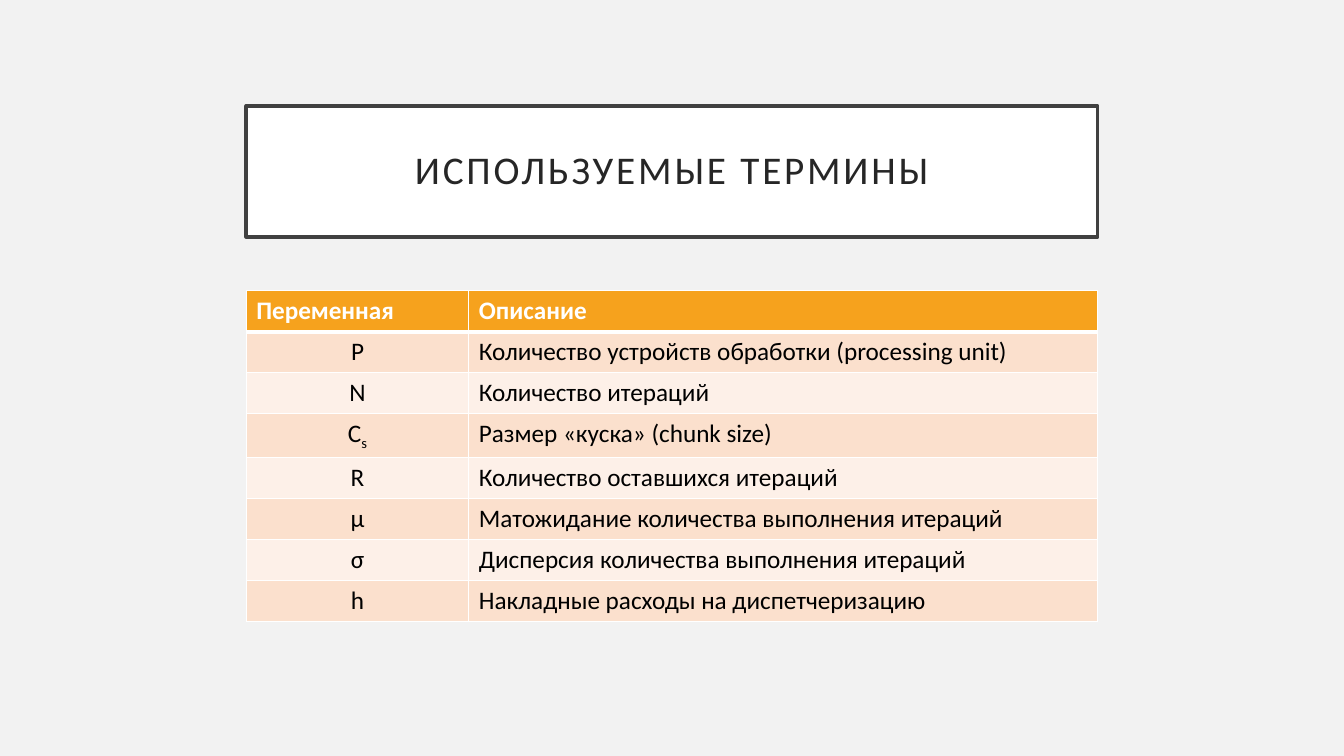
from dataclasses import dataclass

from lxml import etree
from pptx import Presentation
from pptx.dml.color import RGBColor
from pptx.enum.shapes import MSO_SHAPE
from pptx.enum.text import MSO_ANCHOR, PP_ALIGN
from pptx.oxml.ns import qn
from pptx.util import Cm, Pt

RECTANGLE = MSO_SHAPE.RECTANGLE
MIDDLE = MSO_ANCHOR.MIDDLE
LEFT, CENTER = PP_ALIGN.LEFT, PP_ALIGN.CENTER

# Content: each term is (symbol, subscript, description)
HEADING = "ИСПОЛЬЗУЕМЫЕ ТЕРМИНЫ"
COLUMN_NAMES = ("Переменная", "Описание")
TERMS = [
    ("P", "", "Количество устройств обработки (processing unit)"),
    ("N", "", "Количество итераций"),
    ("C", "s", "Размер «куска» (chunk size)"),
    ("R", "", "Количество оставшихся итераций"),
    ("μ", "", "Матожидание количества выполнения итераций"),
    ("σ", "", "Дисперсия количества выполнения итераций"),
    ("h", "", "Накладные расходы на диспетчеризацию"),
]


@dataclass(frozen=True)
class Theme:
    font: str = "Calibri"
    heading_size: int = 28
    table_size: int = 18
    background: str = "F2F2F2"
    white: str = "FFFFFF"
    frame: str = "404040"
    heading: str = "262626"
    body: str = "000000"
    header_fill: str = "F6A21D"
    bands: tuple = ("FBE0CD", "FDF0E8")
    frame_width: float = 2.5
    thin: int = 1
    thick: int = 3


THEME = Theme()

# Layout
SLIDE_WIDTH, SLIDE_HEIGHT = Cm(33.87), Cm(19.05)
COLUMN_WIDTHS = (Cm(5.61), Cm(15.85))
CONTENT_WIDTH = sum(COLUMN_WIDTHS)
CONTENT_LEFT = (SLIDE_WIDTH - CONTENT_WIDTH) // 2
HEADING_TOP, HEADING_HEIGHT = Cm(2.67), Cm(3.3)
HEADING_INSET = Cm(0.5)
TABLE_TOP, ROW_HEIGHT = Cm(7.33), Cm(1.03)


def rgb(code):
    return RGBColor.from_string(code)


def write(frame, text, *, subscript="", size=THEME.table_size, color=THEME.body,
          bold=False, align=LEFT, tracking=0, line_spacing=None):
    paragraph = frame.paragraphs[0]
    paragraph.alignment = align
    paragraph.line_spacing = line_spacing
    for part in filter(None, (text, subscript)):
        run = paragraph.add_run()
        run.text = part
        run.font.name = THEME.font
        run.font.size = Pt(size)
        run.font.bold = bold
        run.font.color.rgb = rgb(color)
        if tracking:
            run.font._element.set("spc", str(tracking * 100))
    if subscript:
        run.font._element.set("baseline", "-25000")


def paint_cell(cell, fill, top, bottom):
    cell.fill.solid()
    cell.fill.fore_color.rgb = rgb(fill)
    properties = cell._tc.get_or_add_tcPr()
    widths = {"a:lnL": THEME.thin, "a:lnR": THEME.thin, "a:lnT": top, "a:lnB": bottom}
    # Borders come before the fill, in this order
    for position, (side, width) in enumerate(widths.items()):
        border = etree.Element(qn(side), w=str(Pt(width)))
        solid = etree.SubElement(border, qn("a:solidFill"))
        etree.SubElement(solid, qn("a:srgbClr"), val=THEME.white)
        properties.insert(position, border)


def add_heading(slide):
    heading = slide.shapes.add_shape(RECTANGLE, CONTENT_LEFT, HEADING_TOP,
                                     CONTENT_WIDTH, HEADING_HEIGHT)
    heading.shadow.inherit = False
    heading.fill.solid()
    heading.fill.fore_color.rgb = rgb(THEME.white)
    heading.line.color.rgb = rgb(THEME.frame)
    heading.line.width = Pt(THEME.frame_width)
    frame = heading.text_frame
    frame.word_wrap = True
    frame.vertical_anchor = MIDDLE
    frame.margin_left = frame.margin_right = HEADING_INSET
    frame.margin_top = frame.margin_bottom = HEADING_INSET
    write(frame, HEADING, size=THEME.heading_size, color=THEME.heading,
          align=CENTER, tracking=2, line_spacing=0.9)


def add_terms(slide):
    row_count = len(TERMS) + 1
    terms = slide.shapes.add_table(row_count, len(COLUMN_NAMES), CONTENT_LEFT, TABLE_TOP,
                                   CONTENT_WIDTH, ROW_HEIGHT * row_count).table
    for column, width in zip(terms.columns, COLUMN_WIDTHS):
        column.width = width

    # Header row
    for cell, name in zip(terms.rows[0].cells, COLUMN_NAMES):
        paint_cell(cell, THEME.header_fill, THEME.thin, THEME.thick)
        write(cell.text_frame, name, color=THEME.white, bold=True)

    # Banded term rows
    for index, (symbol, subscript, description) in enumerate(TERMS):
        symbol_cell, description_cell = terms.rows[index + 1].cells
        top = THEME.thin if index else THEME.thick
        for cell in (symbol_cell, description_cell):
            paint_cell(cell, THEME.bands[index % 2], top, THEME.thin)
        write(symbol_cell.text_frame, symbol, subscript=subscript, align=CENTER)
        write(description_cell.text_frame, description)


def main():
    deck = Presentation()
    deck.slide_width, deck.slide_height = SLIDE_WIDTH, SLIDE_HEIGHT
    slide = deck.slides.add_slide(deck.slide_layouts[6])
    slide.background.fill.solid()
    slide.background.fill.fore_color.rgb = rgb(THEME.background)
    add_heading(slide)
    add_terms(slide)
    deck.save("out.pptx")


if __name__ == "__main__":
    main()
